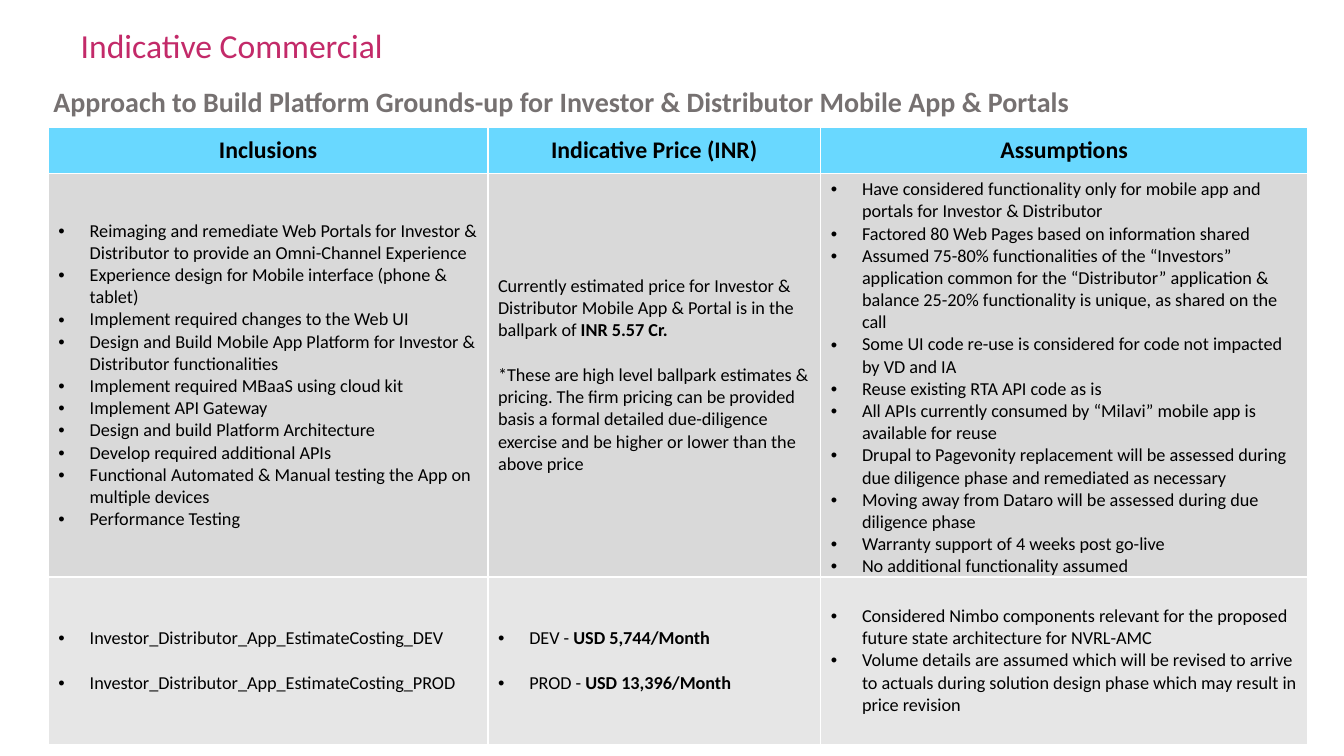
from pptx import Presentation
from pptx.dml.color import RGBColor
from pptx.enum.text import MSO_ANCHOR, MSO_AUTO_SIZE, PP_ALIGN
from pptx.oxml.ns import qn
from pptx.util import Inches, Pt
from lxml import etree

MIDDLE = MSO_ANCHOR.MIDDLE
LEFT, CENTER = PP_ALIGN.LEFT, PP_ALIGN.CENTER
PINK = RGBColor(0xC3, 0x2A, 0x69)
SLATE = RGBColor(0x76, 0x71, 0x71)
BLACK = RGBColor(0, 0, 0)
SKY = RGBColor(0x69, 0xD8, 0xFF)
GRAY = RGBColor(0xD9, 0xD9, 0xD9)
PALE = RGBColor(0xE6, 0xE6, 0xE6)


def write(frame, text, size=13, color=BLACK, bold=False, align=LEFT,
          bullet=False, gap=0, line=None):
    """Write one paragraph per line; text between | marks is bold."""
    for i, row in enumerate(text.split("\n")):
        para = frame.add_paragraph() if i else frame.paragraphs[0]
        para.alignment = align
        if line:
            para.line_spacing = line
        if i and gap:
            para.space_before = Pt(gap)
        if bullet:
            props = para._p.get_or_add_pPr()
            props.set("marL", str(Inches(0.31)))
            props.set("indent", str(Inches(-0.31)))
            etree.SubElement(props, qn("a:buFont"), typeface="Arial")
            etree.SubElement(props, qn("a:buChar"), char="•")
        for j, part in enumerate(row.split("|")):
            if part:
                run = para.add_run()
                run.text = part
                font = run.font
                font.name, font.size = "Calibri", Pt(size)
                font.bold = bold or j % 2 == 1
                font.color.rgb = color


prs = Presentation()
prs.slide_width, prs.slide_height = Inches(13.33), Inches(7.5)
slide = prs.slides.add_slide(prs.slide_layouts[5])

title = slide.shapes.title
title.left, title.top = Inches(0.7), Inches(0.21)
title.width, title.height = Inches(11.5), Inches(0.52)
title.text_frame.auto_size = MSO_AUTO_SIZE.NONE
title.text_frame.vertical_anchor = MIDDLE
write(title.text_frame, "Indicative Commercial", size=24, color=PINK, line=0.9)

box = slide.shapes.add_textbox(Inches(0.48), Inches(0.77), Inches(12.49), Inches(0.52))
frame = box.text_frame
frame.word_wrap = True
frame.vertical_anchor = MIDDLE
frame.margin_left = frame.margin_right = Inches(0.05)
frame.margin_top = frame.margin_bottom = Inches(0.01)
write(frame, "Approach to Build Platform Grounds-up for Investor & Distributor Mobile App & Portals",
      size=20, color=SLATE, bold=True, line=0.9)

heads = ["Inclusions", "Indicative Price (INR)", "Assumptions"]

scope = """Reimaging and remediate Web Portals for Investor & Distributor to provide an Omni-Channel Experience
Experience design for Mobile interface (phone & tablet)
Implement required changes to the Web UI
Design and Build Mobile App Platform for Investor & Distributor functionalities
Implement required MBaaS using cloud kit
Implement API Gateway
Design and build Platform Architecture
Develop required additional APIs
Functional Automated & Manual testing the App on multiple devices
Performance Testing"""

price = """Currently estimated price for Investor & Distributor Mobile App & Portal is in the ballpark of| INR 5.57 Cr.|
*These are high level ballpark estimates & pricing. The firm pricing can be provided basis a formal detailed due-diligence exercise and be higher or lower than the above price"""

terms = """Have considered functionality only for mobile app and portals for Investor & Distributor
Factored 80 Web Pages based on information shared
Assumed 75-80% functionalities of the “Investors” application common for the “Distributor” application & balance 25-20% functionality is unique, as shared on the call
Some UI code re-use is considered for code not impacted by VD and IA
Reuse existing RTA API code as is
All APIs currently consumed by “Milavi” mobile app is available for reuse
Drupal to Pagevonity replacement will be assessed during due diligence phase and remediated as necessary
Moving away from Dataro will be assessed during due diligence phase
Warranty support of 4 weeks post go-live
No additional functionality assumed"""

files = """Investor_Distributor_App_EstimateCosting_DEV
Investor_Distributor_App_EstimateCosting_PROD"""

rates = """DEV - |USD 5,744/Month|
PROD - |USD 13,396/Month|"""

cloud = """Considered Nimbo components relevant for the proposed future state architecture for NVRL-AMC
Volume details are assumed which will be revised to arrive to actuals during solution design phase which may result in price revision"""

head = dict(size=17, bold=True, align=CENTER)
item = dict(bullet=True)
apart = dict(gap=16)
rows = [
    (0.46, SKY, [(name, head) for name in heads]),
    (4.0, GRAY, [(scope, item), (price, apart), (terms, item)]),
    (1.66, PALE, [(files, item | apart), (rates, item | apart), (cloud, item)]),
]

table = slide.shapes.add_table(3, 3, Inches(0.48), Inches(1.26),
                               Inches(12.49), Inches(6.12)).table
for col, width in zip(table.columns, [4.36, 3.3, 4.83]):
    col.width = Inches(width)
for r, (height, fill, cells) in enumerate(rows):
    table.rows[r].height = Inches(height)
    for c, (text, style) in enumerate(cells):
        cell = table.cell(r, c)
        cell.fill.solid()
        cell.fill.fore_color.rgb = fill
        cell.vertical_anchor = MIDDLE
        write(cell.text_frame, text, **style)

prs.save("out.pptx")
